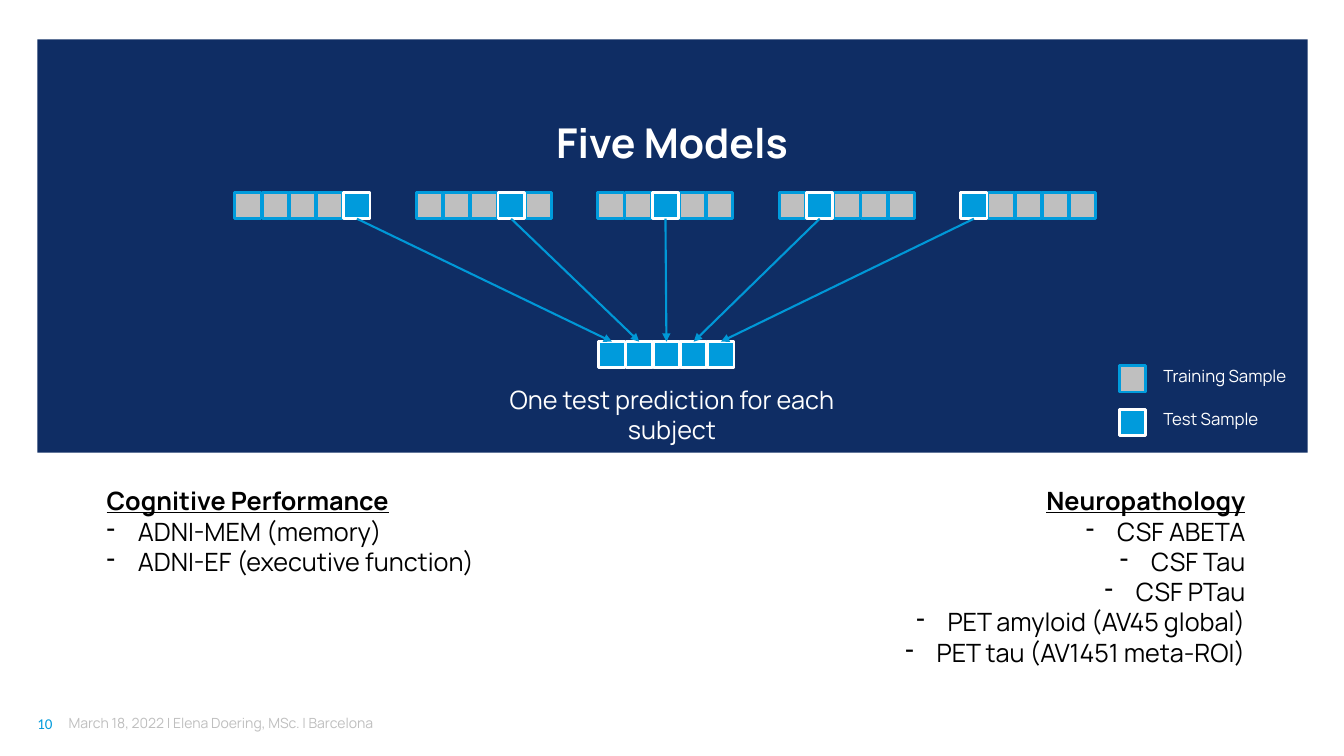
from dataclasses import dataclass
from lxml.etree import SubElement
from pptx import Presentation
from pptx.dml.color import RGBColor
from pptx.enum.shapes import MSO_CONNECTOR, MSO_SHAPE
from pptx.enum.text import MSO_ANCHOR, PP_ALIGN
from pptx.oxml.ns import qn
from pptx.util import Inches, Pt


@dataclass(frozen=True)
class Theme:
    navy: str = "0F2D64"
    blue: str = "009BDC"
    arrow: str = "0098D7"
    gray: str = "BFBFBF"
    white: str = "FFFFFF"
    black: str = "000000"
    font: str = "Manrope"
    digit: str = "Calibri"
    title: float = 29.3
    body: float = 18
    label: float = 12
    page: float = 10.7
    foot: float = 10


theme = Theme()
SIDE, STEP, COUNT = 0.26, 0.27, 5
LEFT, MID, RIGHT = PP_ALIGN.LEFT, PP_ALIGN.CENTER, PP_ALIGN.RIGHT


def add_rect(slide, box, fill, line=None):
    rect = slide.shapes.add_shape(MSO_SHAPE.RECTANGLE, *map(Inches, box))
    rect.shadow.inherit = False
    rect.fill.solid()
    rect.fill.fore_color.rgb = RGBColor.from_string(fill)
    if line:
        rect.line.color.rgb = RGBColor.from_string(line)
        rect.line.width = Pt(2)
    else:
        rect.line.fill.background()
    return rect


def add_cell(slide, left, top, test):
    fill, line = (theme.blue, theme.white) if test else (theme.gray, theme.blue)
    return add_rect(slide, (left, top, SIDE, SIDE), fill, line)


def add_arrow(slide, start, end):
    arrow = slide.shapes.add_connector(MSO_CONNECTOR.STRAIGHT, 0, 0, 0, 0)
    arrow.begin_connect(start, 2)
    arrow.end_connect(end, 0)
    arrow.line.color.rgb = RGBColor.from_string(theme.arrow)
    arrow.line.width = Pt(1.5)
    SubElement(arrow.line._get_or_add_ln(), qn("a:tailEnd"), type="triangle")
    SubElement(arrow._element.spPr, qn("a:effectLst"))


def add_frame(slide, box, inset=(0.1, 0.05, 0.1, 0.05), anchor=MSO_ANCHOR.TOP):
    frame = slide.shapes.add_textbox(*map(Inches, box)).text_frame
    frame.word_wrap = True
    frame.vertical_anchor = anchor
    (frame.margin_left, frame.margin_top,
     frame.margin_right, frame.margin_bottom) = map(Inches, inset)
    return frame


def add_run(para, text, size, color, align=LEFT, bold=False, under=False, face=theme.font):
    para.alignment = align
    run = para.add_run()
    run.text = text
    font = run.font
    font.name, font.size, font.bold, font.underline = face, Pt(size), bold, under
    font.color.rgb = RGBColor.from_string(color)


def add_dash(para):
    props = para._p.get_or_add_pPr()
    props.set("marL", str(Inches(0.31)))
    props.set("indent", str(-Inches(0.31)))
    SubElement(props, qn("a:buChar"), char="-")


def add_list(slide, box, head, items, align):
    frame = add_frame(slide, box)
    add_run(frame.paragraphs[0], head, theme.body, theme.black, align, True, True)
    for item in items:
        para = frame.add_paragraph()
        add_dash(para)
        add_run(para, item, theme.body, theme.black, align)


def add_models(slide, box):
    left, top = box[:2]
    tests = []
    for model in range(COUNT):
        start = left + 1.96 + 1.8 * model
        chosen = COUNT - 1 - model
        for cell in range(COUNT):
            if cell != chosen:
                add_cell(slide, start + STEP * cell, top + 1.52, False)
        tests.append(add_cell(slide, start + STEP * chosen, top + 1.52, True))
    for index, test in enumerate(tests):
        goal = add_cell(slide, left + 5.57 + STEP * index, top + 3, True)
        add_arrow(slide, test, goal)


def add_legend(slide, box):
    left, top = box[:2]
    for row, (text, test) in enumerate((("Training Sample", False), ("Test Sample", True))):
        y = top + 0.43 * row
        add_cell(slide, left, y + 0.05, test)
        frame = add_frame(slide, (left + 0.34, y, 1.49, 0.3))
        add_run(frame.paragraphs[0], text, theme.label, theme.white)


def add_panel(slide, box):
    left, top = box[:2]
    add_rect(slide, box, theme.navy)
    title = add_frame(slide, (left + 0.31, top + 0.32, 11.97, 0.94), (0, 0, 0, 0),
                      MSO_ANCHOR.BOTTOM)
    add_run(title.paragraphs[0], "Five Models", theme.title, theme.white, MID, True)
    add_models(slide, box)
    note = add_frame(slide, (left + 4.56, top + 3.37, 3.47, 0.71))
    add_run(note.paragraphs[0], "One test prediction for each subject",
            theme.body, theme.white, MID)
    add_legend(slide, (left + 10.73, top + 3.19, 1.83, 0.73))


def add_scores(slide, box):
    left, top, width, height = box
    add_list(slide, (left, top, 3.97, 1.01), "Cognitive Performance",
             ("ADNI-MEM (memory)", "ADNI-EF (executive function)"), LEFT)
    add_list(slide, (left + width - 3.97, top, 3.97, height), "Neuropathology",
             ("CSF ABETA", "CSF Tau", "CSF PTau", "PET amyloid (AV45 global)",
              "PET tau (AV1451 meta-ROI)"), RIGHT)


def add_foot(slide, box):
    left, top, width, height = box
    page = add_frame(slide, (left, top, 0.53, height), (0, 0.09, 0.01, 0))
    add_run(page.paragraphs[0], "10", theme.page, theme.blue, RIGHT, face=theme.digit)
    line = add_frame(slide, (left + 0.68, top, width - 0.68, height), (0, 0.09, 0, 0))
    add_run(line.paragraphs[0], "March 18, 2022 | Elena Doering, MSc. | Barcelona",
            theme.foot, theme.gray)


def main():
    deck = Presentation()
    deck.slide_width, deck.slide_height = Inches(13.33), Inches(7.5)
    slide = deck.slides.add_slide(deck.slide_layouts[6])
    add_foot(slide, (0, 7, 9.6, 0.31))
    add_panel(slide, (0.37, 0.39, 12.6, 4.1))
    add_scores(slide, (0.96, 4.77, 11.49, 1.92))
    deck.save("out.pptx")


if __name__ == "__main__":
    main()
